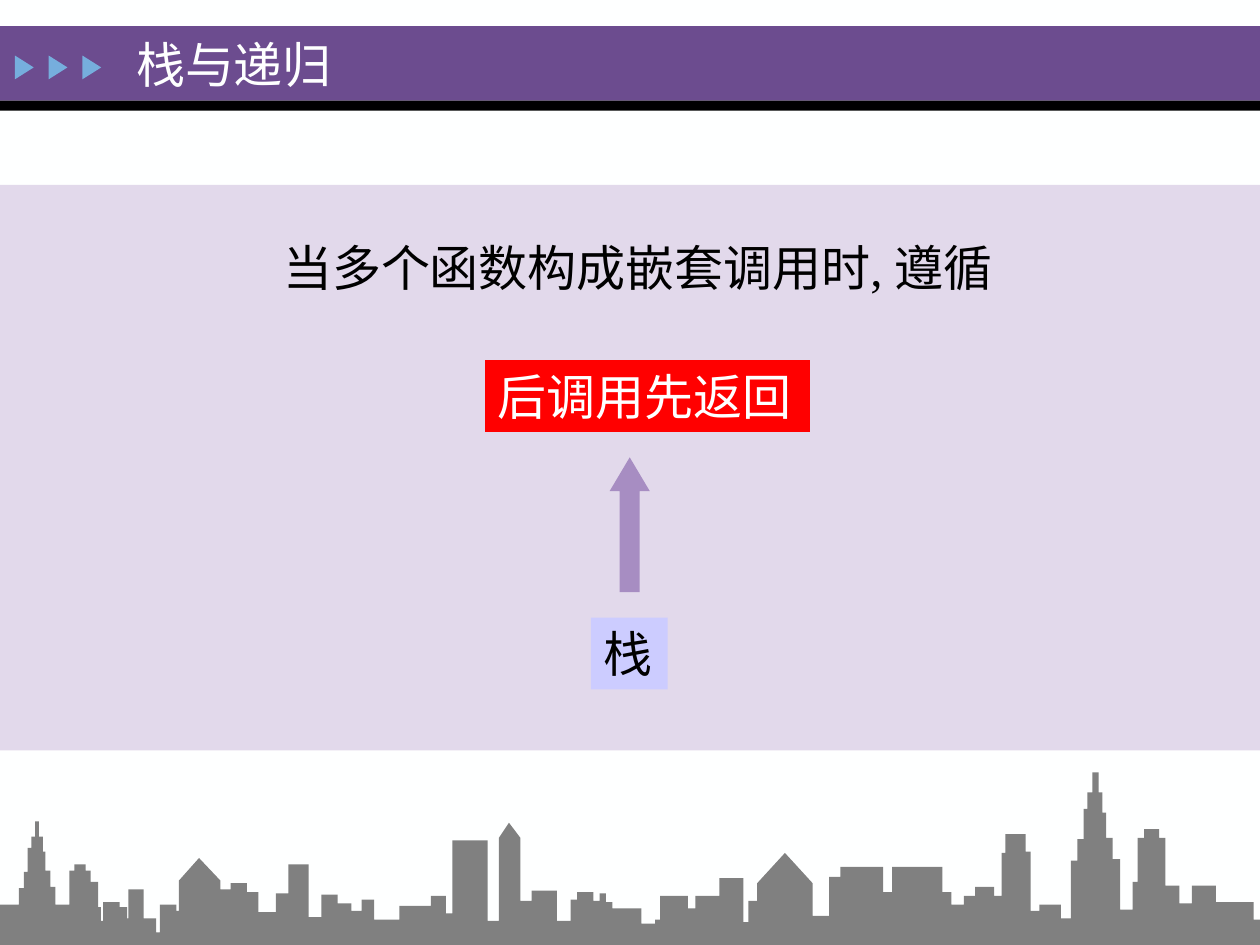
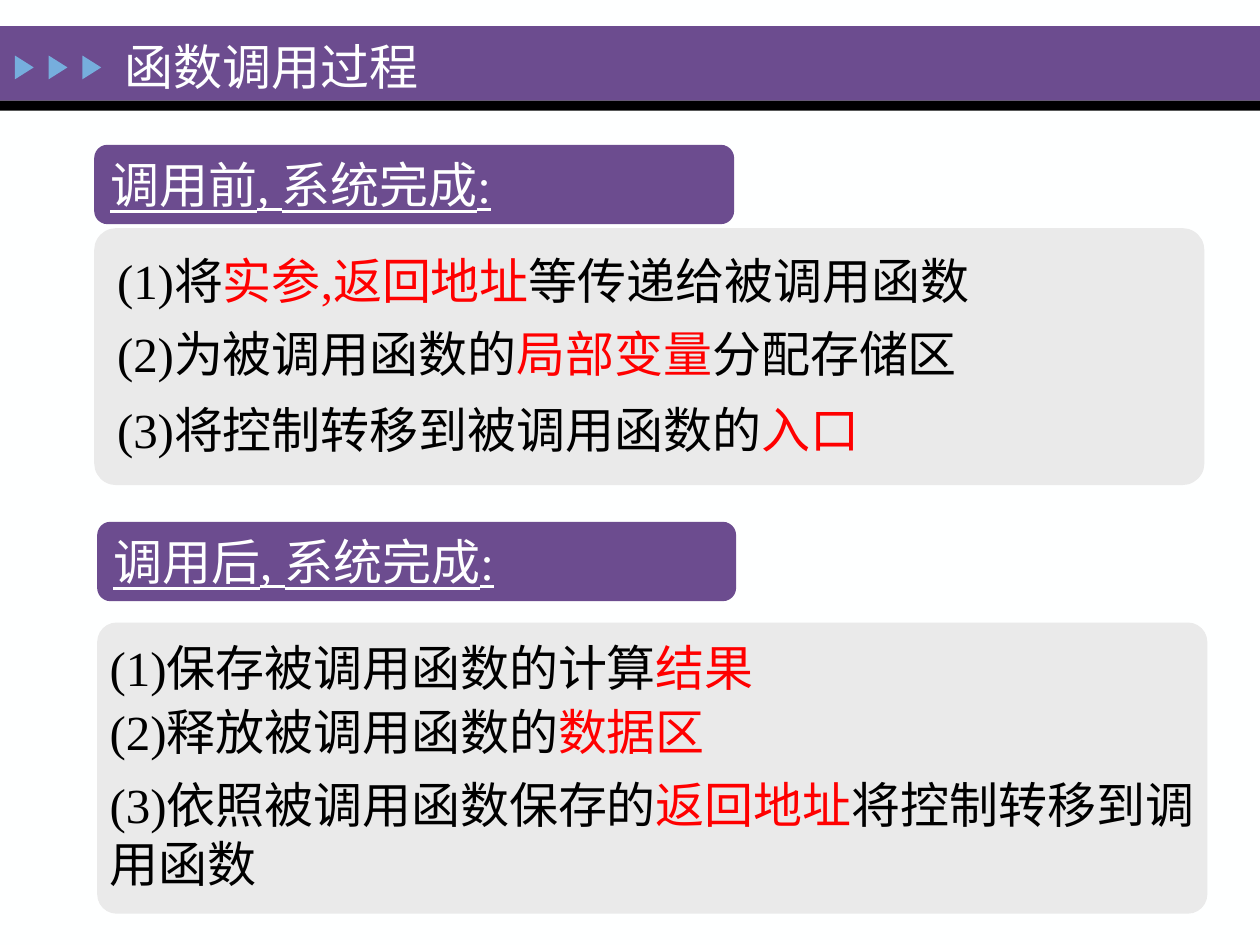
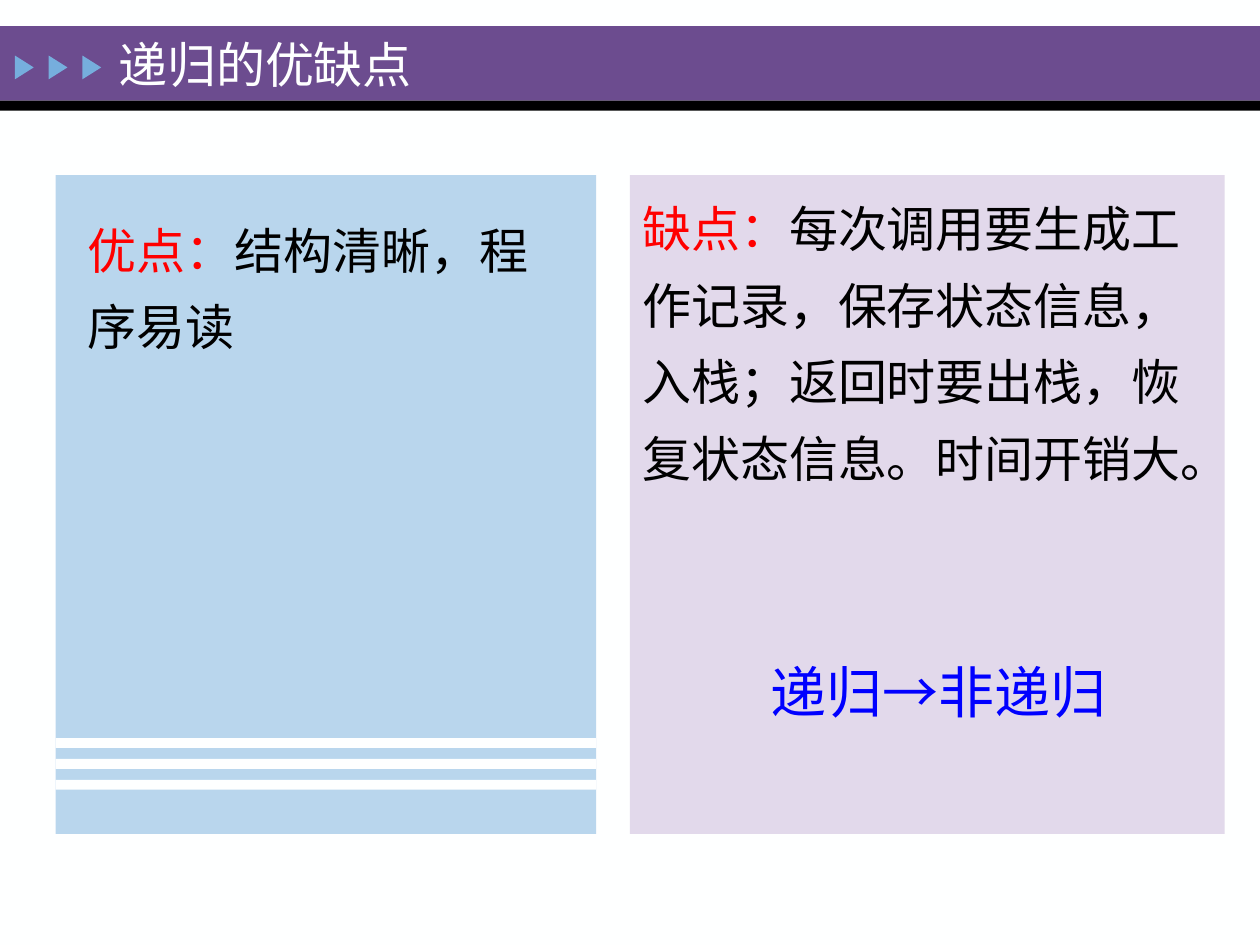
from lxml.etree import SubElement
from pptx import Presentation
from pptx.dml.color import RGBColor
from pptx.enum.shapes import MSO_SHAPE
from pptx.enum.text import MSO_ANCHOR, MSO_AUTO_SIZE, PP_ALIGN
from pptx.oxml.ns import qn
from pptx.util import Cm, Pt

FONT = "Times New Roman"
WHITE, BLACK, RED, BLUE = "FEFFFF", "000000", "FF0000", "0000FF"
PURPLE, LILAC, VIOLET, PALE_BLUE = "6C4C8F", "E2D9EB", "A78DC2", "CCCCFF"
SKY, LIGHT_GREY, GREY = "76AEDD", "EAEAEA", "808080"
WIDTH, HEIGHT = 25.4, 19.05

# Titles with left, top, width and height in centimetres
TITLES = {
    "stack": ("栈与递归", (2.49, 0.33, 17.09, 1.9)),
    "calls": ("函数调用过程", (2.26, 0.61, 10.52, 1.45)),
    "balance": ("递归的优缺点", (2.13, 0.56, 9.09, 1.45)),
}

CALL_STAGES = [
    {
        "heading": "调用前, 系统完成:",
        "heading_place": (1.9, 2.92, 12.9, 1.6),
        "panel_place": (1.9, 4.6, 22.38, 5.18),
        "corner": 0.085,
        "steps_left": 2.11,
        "steps_width": 21,
        "steps": [
            (4.93, [("(1)将", BLACK), ("实参,返回地址", RED), ("等传递给被调用函数", BLACK)]),
            (6.4, [("(2)为被调用函数的", BLACK), ("局部变量", RED), ("分配存储区", BLACK)]),
            (7.92, [("(3)将控制转移到被调用函数的", BLACK), ("入口", RED)]),
        ],
    },
    {
        "heading": "调用后, 系统完成:",
        "heading_place": (1.96, 10.52, 12.88, 1.6),
        "panel_place": (1.96, 12.55, 22.38, 5.87),
        "corner": 0.067,
        "steps_left": 1.96,
        "steps_width": 22.38,
        "steps": [
            (12.73, [("(1)保存被调用函数的计算", BLACK), ("结果", RED)]),
            (14.02, [("(2)释放被调用函数的", BLACK), ("数据区", RED)]),
            (15.49, [("(3)依照被调用函数保存的", BLACK), ("返回地址", RED),
                     ("将控制转移到调用函数", BLACK)]),
        ],
    },
]

ADVANTAGE = [("优点：", RED), ("结构清晰，程序易读", BLACK)]
DRAWBACK = [
    ("缺点：", RED),
    ("每次调用要生成工作记录，保存状态信息，入栈；返回时要出栈，恢复状态信息。时间开销大。", BLACK),
]

# Roofs from left to right in hundredths of an inch: left edge, top;
# a pointed roof adds the place of its peak
SKYLINE = [
    (0, 718), (15, 705), (19, 692), (22, 673), (25, 664), (28, 652), (31, 664),
    (34, 676), (36, 691), (40, 704), (44, 718), (55, 691), (59, 686), (68, 691),
    (72, 700), (78, 720), (80, 731), (82, 716), (95, 720), (101, 729), (102, 706),
    (114, 729), (124, 740), (127, 718), (140, 723), (142, 699, 158, 681),
    (175, 706), (183, 701), (196, 708), (205, 724), (219, 709), (229, 686),
    (245, 728), (255, 710), (268, 717), (279, 723), (287, 714), (297, 730),
    (317, 719), (342, 711), (354, 725), (359, 667), (387, 731),
    (396, 665, 404, 653), (413, 715), (422, 707), (442, 731), (453, 714),
    (458, 708), (471, 715), (476, 709), (481, 716), (486, 721), (509, 733),
    (520, 730), (524, 711), (546, 721), (552, 711), (571, 697), (590, 732),
    (594, 715), (601, 701, 623, 677), (645, 727), (658, 696), (667, 688),
    (701, 708), (708, 688), (748, 708), (755, 718), (765, 711), (774, 704),
    (789, 711), (795, 677), (798, 662), (814, 676), (818, 723), (825, 718),
    (842, 729), (850, 683), (855, 666), (860, 642), (863, 629), (867, 613),
    (872, 629), (875, 645), (878, 665), (883, 682), (889, 722), (899, 700),
    (903, 665), (908, 658), (920, 665), (925, 703), (936, 717), (946, 703),
    (965, 716), (995, 730),
]
SKYLINE_RIGHT, SKYLINE_BASE = 1000, 750


def color(hex_string):
    return RGBColor.from_string(hex_string)


def lengths(place):
    return [Cm(value) for value in place]


def paint(shape, fill):
    shape.fill.solid()
    shape.fill.fore_color.rgb = color(fill)
    shape.line.fill.background()
    shape.shadow.inherit = False


def add_shape(slide, kind, place, fill, adjustments=()):
    shape = slide.shapes.add_shape(kind, *lengths(place))
    for index, value in enumerate(adjustments):
        shape.adjustments[index] = value
    paint(shape, fill)
    return shape


def write(shape, runs, size=28, anchor=MSO_ANCHOR.TOP, line_spacing=None, underline=None):
    """Fill the shape with one left-aligned paragraph of (text, colour) runs."""
    frame = shape.text_frame
    frame.word_wrap = True
    frame.auto_size = MSO_AUTO_SIZE.NONE
    frame.vertical_anchor = anchor
    paragraph = frame.paragraphs[0]
    paragraph.alignment = PP_ALIGN.LEFT
    paragraph.line_spacing = line_spacing
    for text, run_color in runs:
        run = paragraph.add_run()
        run.text = text
        run.font.name = FONT
        run.font.size = Pt(size)
        run.font.underline = underline
        run.font.color.rgb = color(run_color)


def add_text(slide, place, runs, **style):
    write(slide.shapes.add_textbox(*lengths(place)), runs, **style)


def add_slide(presentation, layout, name):
    text, place = TITLES[name]
    slide = presentation.slides.add_slide(layout)
    title = slide.shapes.title
    title.left, title.top, title.width, title.height = lengths(place)
    write(title, [(text, WHITE)], anchor=MSO_ANCHOR.MIDDLE)
    return slide


def decorate_layout(layout, slide):
    """Draw the header on the slide, then move it behind the layout's title."""
    for placeholder in list(layout.placeholders)[1:]:
        placeholder.element.getparent().remove(placeholder.element)
    header = [
        add_shape(slide, MSO_SHAPE.RECTANGLE, (0, 0.53, WIDTH, 1.5), PURPLE),
        add_shape(slide, MSO_SHAPE.RECTANGLE, (0, 2.03, WIDTH, 0.2), BLACK),
    ]
    for index in range(3):
        place = (0.25 + 0.68 * index, 1.17, 0.48, 0.38)
        arrow = add_shape(slide, MSO_SHAPE.ISOSCELES_TRIANGLE, place, SKY)
        arrow.rotation = 90
        header.append(arrow)
    title = layout.placeholders[0].element
    for shape in header:
        title.addprevious(shape.element)


def add_skyline(slide):
    points = []
    rights = [roof[0] for roof in SKYLINE[1:]] + [SKYLINE_RIGHT]
    for (left, top, *peak), right in zip(SKYLINE, rights):
        points.append((left, top))
        if peak:
            points.append(tuple(peak))
        points.append((right, top))
    points.append((SKYLINE_RIGHT, SKYLINE_BASE))
    builder = slide.shapes.build_freeform(0, SKYLINE_BASE, scale=Cm(2.54) / 100)
    builder.add_line_segments(points, close=True)
    paint(builder.convert_to_shape(), GREY)


def fill_stack_slide(slide):
    add_shape(slide, MSO_SHAPE.RECTANGLE, (0, 3.73, WIDTH, 11.4), LILAC)
    add_text(slide, (5.46, 4.67, 16.03, 1.45), [("当多个函数构成嵌套调用时, 遵循", BLACK)])
    rule = add_shape(slide, MSO_SHAPE.RECTANGLE, (9.78, 7.26, 6.55, 1.45), RED)
    write(rule, [("后调用先返回", WHITE)])
    stack = add_shape(slide, MSO_SHAPE.RECTANGLE, (11.91, 12.45, 1.55, 1.45), PALE_BLUE)
    write(stack, [("栈", BLACK)])
    add_shape(slide, MSO_SHAPE.UP_ARROW, (12.29, 9.22, 0.81, 2.72), VIOLET, (0.5, 0.843))
    add_skyline(slide)


def fill_calls_slide(slide):
    for stage in CALL_STAGES:
        add_shape(slide, MSO_SHAPE.ROUNDED_RECTANGLE, stage["panel_place"], LIGHT_GREY,
                  (stage["corner"],))
        heading = add_shape(slide, MSO_SHAPE.ROUNDED_RECTANGLE, stage["heading_place"], PURPLE)
        write(heading, [(stage["heading"], WHITE)], underline=True)
        for top, runs in stage["steps"]:
            add_text(slide, (stage["steps_left"], top, stage["steps_width"], 1.45), runs)


def fill_balance_slide(slide):
    drawback = add_shape(slide, MSO_SHAPE.RECTANGLE, (12.7, 3.53, 11.99, 13.28), LILAC)
    write(drawback, DRAWBACK, line_spacing=1.3)
    add_text(slide, (15.29, 13.13, 7.5, 1.6), [("递归→非递归", BLUE)], size=32)
    left, width = 1.12, 10.9
    panel = add_shape(slide, MSO_SHAPE.RECTANGLE, (left, 3.53, width, 13.28), SKY)
    panel_color = panel.element.spPr.find(qn("a:solidFill")).find(qn("a:srgbClr"))
    SubElement(panel_color, qn("a:alpha"), val="50000")
    add_text(slide, (1.52, 3.96, 9.98, 4.37), ADVANTAGE, line_spacing=1.3)
    for index in range(3):
        place = (left, 14.88 + 0.42 * index, width, 0.2)
        add_shape(slide, MSO_SHAPE.RECTANGLE, place, WHITE)


def main():
    presentation = Presentation()
    presentation.slide_width, presentation.slide_height = Cm(WIDTH), Cm(HEIGHT)
    background = presentation.slide_master.background.fill
    background.solid()
    background.fore_color.rgb = color(WHITE)
    layout = presentation.slide_layouts.get_by_name("Title Only")

    stack_slide, calls_slide, balance_slide = [
        add_slide(presentation, layout, name) for name in TITLES
    ]
    decorate_layout(layout, stack_slide)
    fill_stack_slide(stack_slide)
    fill_calls_slide(calls_slide)
    fill_balance_slide(balance_slide)
    presentation.save("out.pptx")


if __name__ == "__main__":
    main()
